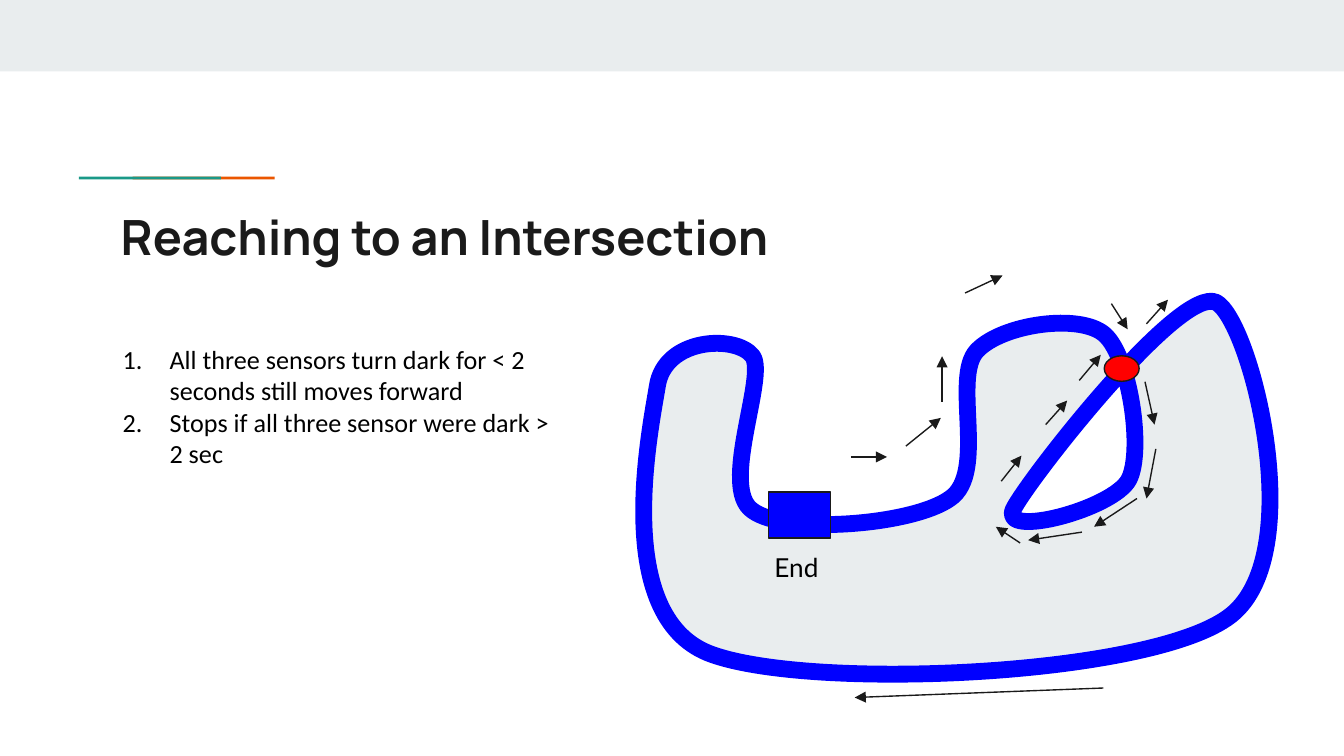
"""Build the slide on how the line follower reaches an intersection."""
from lxml.etree import SubElement
from pptx import Presentation
from pptx.dml.color import RGBColor
from pptx.enum.shapes import MSO_CONNECTOR, MSO_SHAPE
from pptx.oxml.ns import qn
from pptx.util import Pt

COLORS = {
    "ink": "1A1A1A", "text": "000000", "mist": "E9EDEE", "orange": "EB5600",
    "teal": "1A9988", "track": "0000FF", "crossing": "FF0000",
}
TITLE = "Reaching to an Intersection"
RULES = [
    "All three sensors turn dark for < 2 seconds still moves forward",
    "Stops if all three sensor were dark > 2 sec",
]
FORMATS = {
    "title": ({"name": "Manrope", "size": Pt(26), "bold": True}, "ink"),
    "rules": ({"name": "Calibri", "size": Pt(14)}, "text"),
    "end": ({"name": "Lato", "size": Pt(14)}, "text"),
}
BANNER = (0, 0, 720, 38.3)
ACCENT_BOX = (78.5, 80.6, 32.4, 29.5)
ACCENT_BARS = [("orange", 11.16), ("teal", 0)]
ACCENT_THICKNESS = 1.4
MARKERS = [
    (MSO_SHAPE.RECTANGLE, (411.8, 263.7, 33.1, 24.5), "track"),
    (MSO_SHAPE.OVAL, (591.6, 190.6, 18.7, 13.7), "crossing"),
]
TRACK_BOX = (344.9, 161.4, 335.5, 199.4)
TRACK_START = (403.2, 190.8)
TRACK_CURVES = [
    ((411.1, 201.6), (385.2, 261.4), (403.2, 273.6)),
    ((420.5, 286.6), (488.9, 281.5), (509, 267.1)),
    ((529.2, 253.4), (509.8, 202.3), (523.4, 187.9)),
    ((537.1, 173.5), (578.9, 167.8), (591.8, 179.3)),
    ((605.5, 191.5), (612.7, 241.9), (604.8, 257)),
    ((596.2, 272.9), (535.7, 288.7), (542.9, 272.9)),
    ((550.8, 257), (632.2, 152.6), (651.6, 162)),
    ((670.3, 172.1), (702.7, 300.2), (657.4, 331.2)),
    ((612, 362.9), (430.6, 370.1), (379.4, 349.9)),
    ((328.3, 329), (347.8, 233.3), (352.1, 207.4)),
    ((355.7, 180.7), (394.6, 179.3), TRACK_START),
]
DIRECTIONS = [
    (455.8, 244.8, 475.2, 244.8), (485.3, 239, 504, 223.9),
    (504.7, 215.3, 504.7, 190.8), (517, 157, 537.1, 147.6),
    (595.4, 162.7, 604.1, 176.4), (613.4, 204.5, 618.5, 227.5),
    (619.2, 240.5, 614.2, 267.1), (609.1, 267.1, 586.1, 282.2),
    (536.4, 257.8, 547.2, 244.1), (579.6, 285.1, 550.8, 289.4),
    (546.5, 290.9, 533.5, 282.2), (560.2, 227.5, 571.7, 214.6),
    (578.2, 203.8, 589.7, 190.1), (614.2, 173.5, 625.7, 160.6),
    (591.1, 368.6, 457.9, 373.7),
]


def rgb(name):
    return RGBColor.from_string(COLORS[name])


def place(shape, box):
    for side, value in zip(("left", "top", "width", "height"), box):
        setattr(shape, side, Pt(value))


def paint(shape, fill, line=None, width=0.75):
    shape.shadow.inherit = False
    shape.fill.solid()
    shape.fill.fore_color.rgb = rgb(fill)
    if line:
        shape.line.color.rgb = rgb(line)
        shape.line.width = Pt(width)
    else:
        shape.line.fill.background()


def add_preset(shapes, kind, box, fill, line=None):
    preset = shapes.add_shape(kind, *map(Pt, box))
    paint(preset, fill, line)
    return preset


def add_accent():
    """Draw two upright bars turned sideways and stretched by their group."""
    left, top, _, length = ACCENT_BOX
    accent = slide.shapes.add_group_shape()
    for color, shift in ACCENT_BARS:
        box = (left + shift, top, ACCENT_THICKNESS, length)
        add_preset(accent.shapes, MSO_SHAPE.RECTANGLE, box, color).rotation = 270
    place(accent, ACCENT_BOX)


def add_text(box, paragraphs, style, numbered=False):
    frame = slide.shapes.add_textbox(*map(Pt, box)).text_frame
    frame.word_wrap = True
    for side in ("left", "top", "right", "bottom"):
        setattr(frame, f"margin_{side}", Pt(7.2))
    values, color = FORMATS[style]
    for index, text in enumerate(paragraphs):
        paragraph = frame.add_paragraph() if index else frame.paragraphs[0]
        if numbered:
            props = paragraph._p.get_or_add_pPr()
            props.set("marL", str(Pt(36)))
            props.set("indent", str(-Pt(25.2)))
            tint = SubElement(props, qn("a:buClr"))
            SubElement(tint, qn("a:srgbClr"), val=COLORS[color])
            SubElement(props, qn("a:buAutoNum"), type="arabicPeriod")
        run = paragraph.add_run()
        run.text = text
        for attribute, value in values.items():
            setattr(run.font, attribute, value)
        run.font.color.rgb = rgb(color)


def add_track():
    left, top, width, height = TRACK_BOX
    builder = slide.shapes.build_freeform(*map(Pt, TRACK_START))
    builder.add_line_segments([tuple(map(Pt, curve[-1])) for curve in TRACK_CURVES])
    track = builder.convert_to_shape()
    place(track, TRACK_BOX)
    outline = next(track._element.iter(qn("a:path")))
    for child in list(outline):
        outline.remove(child)
    outline.set("w", str(Pt(width)))
    outline.set("h", str(Pt(height)))
    commands = [("a:moveTo", [TRACK_START])]
    commands += [("a:cubicBezTo", curve) for curve in TRACK_CURVES]
    for tag, points in commands + [("a:close", [])]:
        command = SubElement(outline, qn(tag))
        for x, y in points:
            SubElement(command, qn("a:pt"), x=str(Pt(x - left)), y=str(Pt(y - top)))
    paint(track, "mist", "track", 9)


def add_arrow(ends):
    arrow = slide.shapes.add_connector(MSO_CONNECTOR.STRAIGHT, *map(Pt, ends))
    arrow.line.color.rgb = rgb("ink")
    arrow.line.width = Pt(0.75)
    SubElement(arrow.line._get_or_add_ln(), qn("a:tailEnd"), type="triangle")
    SubElement(arrow._element.spPr, qn("a:effectLst"))


deck = Presentation()
deck.slide_width, deck.slide_height = Pt(720), Pt(405)
slide = deck.slides.add_slide(deck.slide_layouts[6])

add_preset(slide.shapes, MSO_SHAPE.RECTANGLE, BANNER, "mist")
add_accent()
add_text((57.6, 103.7, 605.5, 42.5), [TITLE], "title")
add_track()
for marker in MARKERS:
    add_preset(slide.shapes, *marker, line="ink")
add_text((407.8, 288, 41.8, 32.4), ["End"], "end")
add_text((47.8, 176.8, 262.1, 72), RULES, "rules", numbered=True)
for direction in DIRECTIONS:
    add_arrow(direction)

deck.save("out.pptx")
